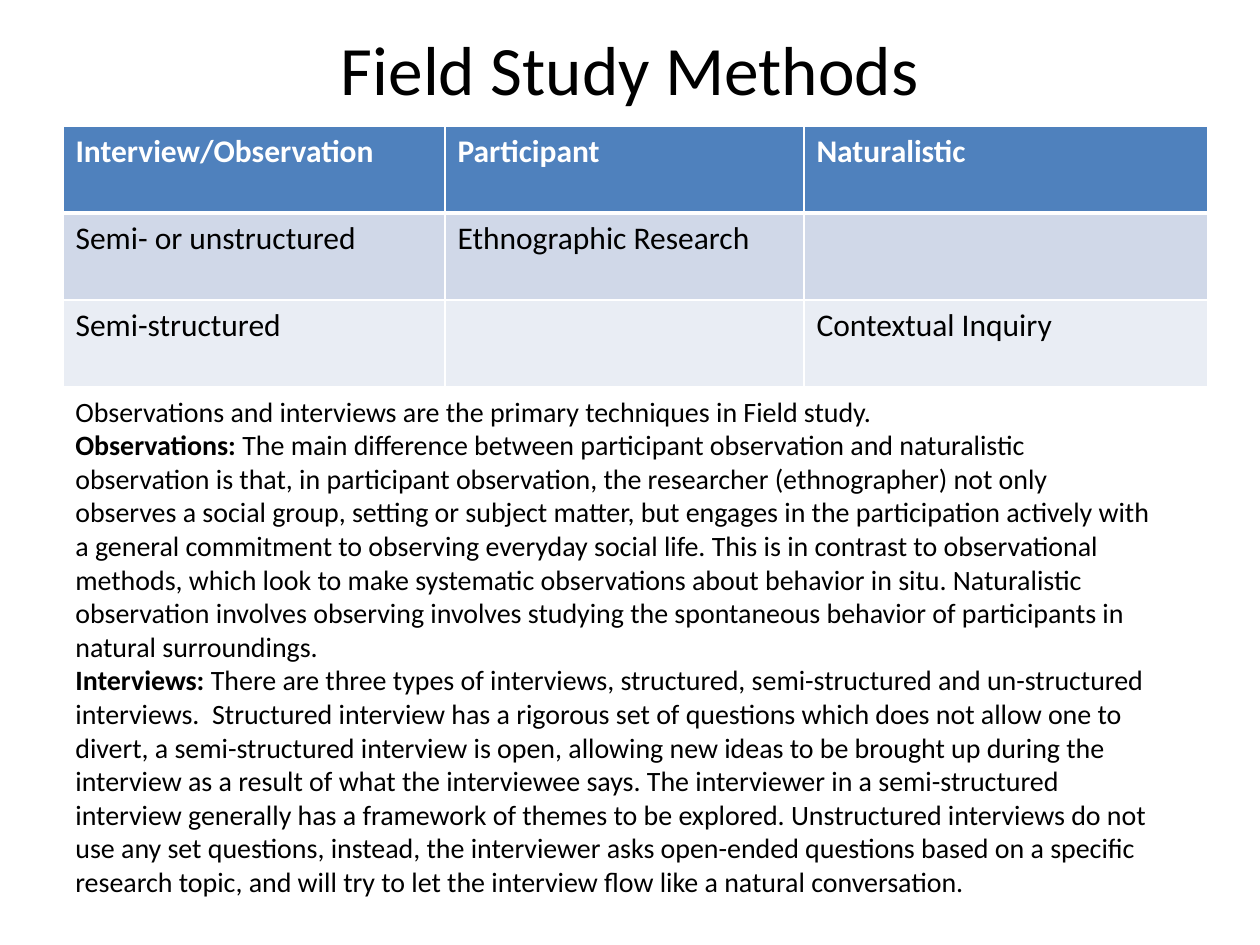
from lxml import etree
from pptx import Presentation
from pptx.dml.color import RGBColor
from pptx.enum.text import MSO_ANCHOR, PP_ALIGN
from pptx.oxml.ns import qn
from pptx.util import Pt

CENTER = PP_ALIGN.CENTER
LEFT = PP_ALIGN.LEFT
TOP = MSO_ANCHOR.TOP
MIDDLE = MSO_ANCHOR.MIDDLE
EMU_PER_PX = 914400 / 126
EMU_PER_POINT = 12700
COLORS = {
    "text": "000000",
    "white": "FFFFFF",
    "header": "4F81BD",
    "odd": "D0D8E8",
    "even": "E9EDF4",
}
TITLE_FORMAT = {"name": "Calibri", "size": Pt(39.6), "bold": False}
HEADER_FORMAT = {"name": "Calibri", "size": Pt(18), "bold": True}
CELL_FORMAT = {**HEADER_FORMAT, "bold": False}
BODY_FORMAT = {"name": "Calibri", "size": Pt(16), "bold": False}
LABEL_FORMAT = {**BODY_FORMAT, "bold": True}

COLUMN_WIDTHS = [382, 359, 404]
ROW_HEIGHT = 87
METHODS = [
    ["Interview/Observation", "Participant", "Naturalistic"],
    ["Semi- or unstructured", "Ethnographic Research", ""],
    ["Semi-structured", "", "Contextual Inquiry"],
]
EXPLANATIONS = [
    ("", "Observations and interviews are the primary techniques in Field study."),
    ("Observations:",
     " The main difference between participant observation and naturalistic "
     "observation is that, in participant observation, the researcher "
     "(ethnographer) not only observes a social group, setting or subject matter, "
     "but engages in the participation actively with a general commitment to "
     "observing everyday social life. This is in contrast to observational "
     "methods, which look to make systematic observations about behavior in situ. "
     "Naturalistic observation involves observing involves studying the "
     "spontaneous behavior of participants in natural surroundings."),
    ("Interviews:",
     " There are three types of interviews, structured, semi-structured and "
     "un-structured interviews.  Structured interview has a rigorous set of "
     "questions which does not allow one to divert, a semi-structured interview "
     "is open, allowing new ideas to be brought up during the interview as a "
     "result of what the interviewee says. The interviewer in a semi-structured "
     "interview generally has a framework of themes to be explored. Unstructured "
     "interviews do not use any set questions, instead, the interviewer asks "
     "open-ended questions based on a specific research topic, and will try to "
     "let the interview flow like a natural conversation."),
]


def px(length):
    """Turn a length in px into EMU."""
    return round(length * EMU_PER_PX)


def add_run(paragraph, text, font_format, color="text"):
    """Add a formatted run to a paragraph."""
    run = paragraph.add_run()
    run.text = text
    for attribute, value in font_format.items():
        setattr(run.font, attribute, value)
    run.font.color.rgb = RGBColor.from_string(COLORS[color])


def add_text(slide, box, paragraphs, alignment=LEFT, anchor=TOP):
    """Add a wrapped text box from paragraphs of (text, format) runs."""
    frame = slide.shapes.add_textbox(*map(px, box)).text_frame
    frame.word_wrap = True
    frame.vertical_anchor = anchor
    for index, runs in enumerate(paragraphs):
        paragraph = frame.add_paragraph() if index else frame.paragraphs[0]
        paragraph.alignment = alignment
        for text, font_format in runs:
            if text:
                add_run(paragraph, text, font_format)


def set_borders(cell, top, bottom):
    """Draw white cell borders with the given top and bottom widths in points."""
    properties = cell._tc.get_or_add_tcPr()
    widths = {"a:lnL": 1, "a:lnR": 1, "a:lnT": top, "a:lnB": bottom}
    for index, (tag, width) in enumerate(widths.items()):
        line = etree.Element(qn(tag), w=str(width * EMU_PER_POINT))
        fill = etree.SubElement(line, qn("a:solidFill"))
        etree.SubElement(fill, qn("a:srgbClr"), val=COLORS["white"])
        properties.insert(index, line)


def add_methods_table(slide, left, top):
    """Add the table of field study methods."""
    row_count = len(METHODS)
    table = slide.shapes.add_table(
        row_count, len(COLUMN_WIDTHS), px(left), px(top),
        px(sum(COLUMN_WIDTHS)), px(ROW_HEIGHT * row_count)).table
    for column, width in zip(table.columns, COLUMN_WIDTHS):
        column.width = px(width)
    fills = ["header", "odd", "even"]
    for row_index, texts in enumerate(METHODS):
        table.rows[row_index].height = px(ROW_HEIGHT)
        is_header = row_index == 0
        for column_index, text in enumerate(texts):
            cell = table.cell(row_index, column_index)
            cell.fill.solid()
            cell.fill.fore_color.rgb = RGBColor.from_string(COLORS[fills[row_index]])
            set_borders(cell, top=3 if row_index == 1 else 1, bottom=3 if is_header else 1)
            if text:
                add_run(cell.text_frame.paragraphs[0], text,
                        HEADER_FORMAT if is_header else CELL_FORMAT,
                        "white" if is_header else "text")


def main():
    """Build and save the field study slide."""
    presentation = Presentation()
    presentation.slide_width = px(1260)
    presentation.slide_height = px(945)
    slide = presentation.slides.add_slide(presentation.slide_layouts[6])
    add_text(slide, (63, 19, 1134, 97), [[("Field Study Methods", TITLE_FORMAT)]],
             CENTER, MIDDLE)
    add_methods_table(slide, 63, 126)
    add_text(slide, (63, 388, 1103, 522),
             [[(label, LABEL_FORMAT), (text, BODY_FORMAT)] for label, text in EXPLANATIONS])
    presentation.save("out.pptx")


if __name__ == "__main__":
    main()
